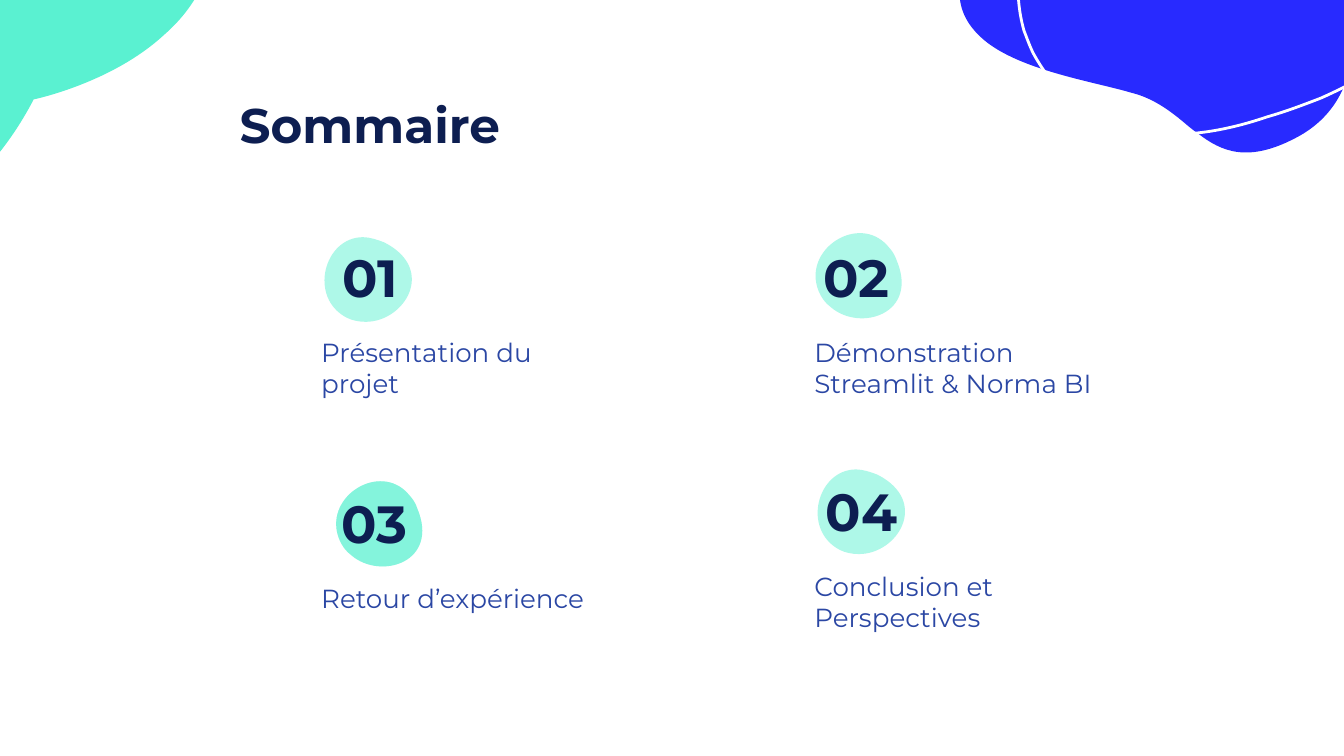
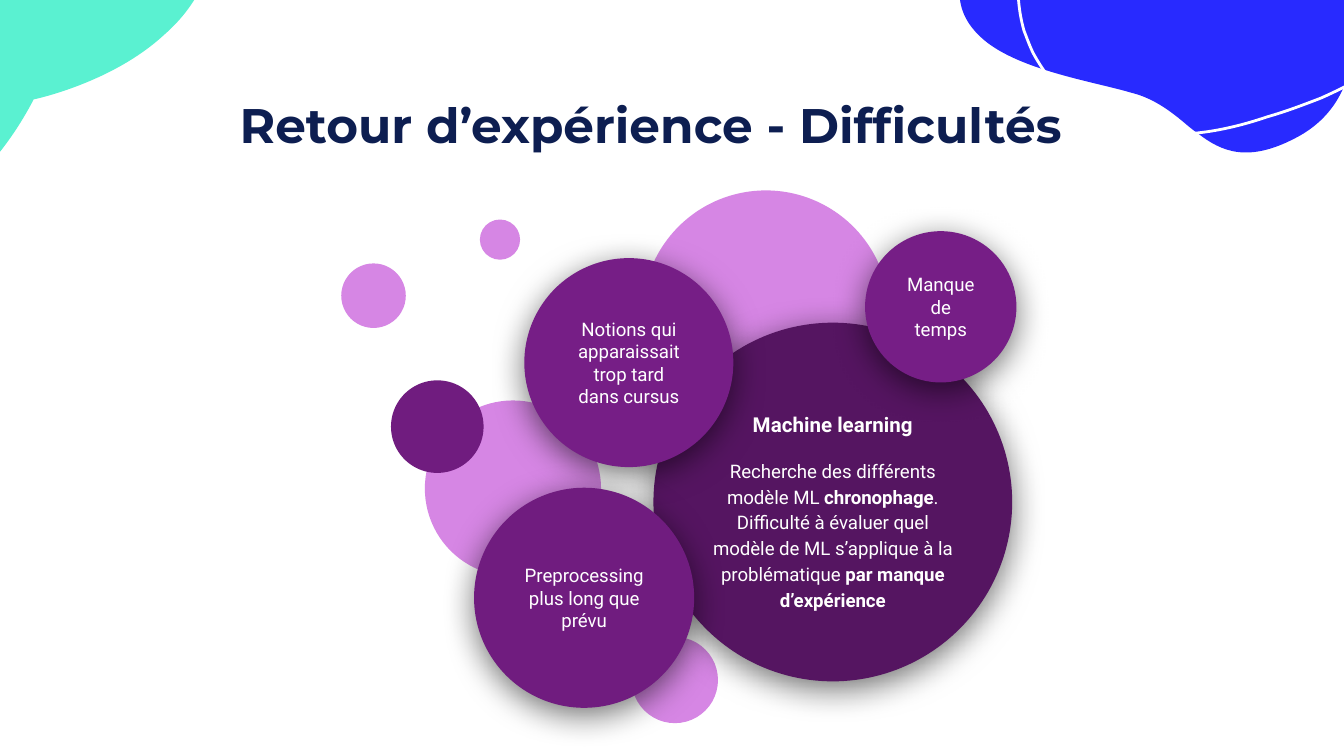
from dataclasses import dataclass
from math import cos, radians, sin

from pptx import Presentation
from pptx.dml.color import RGBColor
from pptx.enum.shapes import MSO_SHAPE as Shape
from pptx.enum.text import MSO_ANCHOR as Anchor, MSO_AUTO_SIZE as AutoSize, PP_ALIGN as Align
from pptx.oxml.xmlchemy import OxmlElement
from pptx.util import Cm, Pt

# Palette and fonts
NAVY, INDIGO, BLUE, MINT, WHITE = "0D1E51", "2B47A4", "282AFF", "5AF1D1", "FFFFFF"
LILAC, PURPLE, VIOLET, PLUM = "D686E4", "701C7F", "761E86", "551561"
HEAD_FONT, BUBBLE_FONT = "Montserrat", "Roboto"

GRID = Cm(0.0254)


@dataclass
class Outline:
    """A start point, then three points per Bézier curve, in grid units."""
    turn: float
    points: list[tuple[int, int]]


BLUE_BLOB = Outline(217.1, [
    (735, 32), (713, 15), (704, -9), (729, -47), (785, -135), (897, -106), (934, -84),
    (939, -81), (944, -78), (949, -74), (1013, -25), (1029, 66), (967, 101),
    (929, 122), (909, 113), (891, 99), (885, 95), (879, 89), (872, 84),
    (864, 78), (854, 72), (842, 69), (815, 61), (763, 53), (735, 32),
])
WHITE_LOOP = Outline(336.5, [
    (833, -209), (874, -227), (928, -219), (943, -170), (943, -170), (944, -170), (944, -169),
    (948, -157), (962, -151), (974, -156), (1019, -174), (1071, -156), (1098, -117),
    (1115, -91), (1120, -57), (1108, -29), (1100, -8), (1083, 9), (1065, 24),
    (1040, 44), (1012, 60), (983, 73), (970, 78), (957, 83), (943, 87),
    (902, 101), (856, 107), (817, 88), (796, 78), (780, 60), (769, 40),
    (766, 34), (764, 28), (762, 23), (754, -5), (757, -36), (769, -63),
    (773, -72), (779, -81), (780, -92), (782, -109), (774, -125), (778, -143),
    (782, -161), (791, -178), (805, -191), (813, -198), (822, -204), (833, -209),
])
MINT_BLOB = Outline(137.9, [
    (122, 26), (83, 62), (25, 74), (25, 74), (11, 101), (-6, 122), (-22, 137),
    (-71, 181), (-122, 174), (-150, 133), (-184, 81), (-180, -15), (-117, -72),
    (-114, -75), (-111, -77), (-108, -80), (40, -193), (175, -103), (156, -26),
    (150, -5), (138, 12), (122, 26),
])
# Number spots, relative to the top left of their label
FLAT_SPOT = Outline(0, [
    (41, -64), (12, -64), (0, -19), (29, -4), (33, -2), (38, -1), (43, -1),
    (72, -1), (96, -40), (57, -60), (52, -62), (46, -64), (41, -64),
])
ROUND_SPOT = Outline(41.2, [
    (62, -60), (40, -80), (1, -54), (13, -24), (15, -19), (18, -15), (22, -12),
    (44, 7), (88, -7), (71, -47), (69, -53), (65, -57), (62, -60),
])


@dataclass
class Run:
    text: str
    size: float
    bold: bool = False


@dataclass
class Para:
    runs: list[Run]
    before: float = 0
    after: float = 0
    spacing: float = 1.0


@dataclass
class Topic:
    number: str
    label: str
    left: float
    top: float
    spot: Outline
    number_dx: float
    number_width: float = 1.85
    spot_dx: float = 0
    spot_dy: float = 0
    spot_layers: int = 1


@dataclass
class Dot:
    left: float
    top: float
    size: float
    color: str = LILAC


@dataclass
class Bubble:
    dot: Dot
    width: float
    height: float
    paras: list[Para]
    text_dy: float = 0


def rgb(color: str) -> RGBColor:
    return RGBColor.from_string(color)


def paint(sp, fill: str | None, alpha: int = 100, line: str | None = None) -> None:
    """Set fill and line, and drop the theme shadow."""
    sp.shadow.inherit = False
    if fill:
        sp.fill.solid()
        sp.fill.fore_color.rgb = rgb(fill)
        if alpha < 100:
            node = OxmlElement("a:alpha")
            node.set("val", str(alpha * 1000))
            sp.element.spPr.find(".//{*}srgbClr").append(node)
    else:
        sp.fill.background()
    if line:
        sp.line.color.rgb = rgb(line)
        sp.line.width = Pt(1.5)
    else:
        sp.line.fill.background()


def add_shadow(sp) -> None:
    shadow = OxmlElement("a:outerShdw")
    for key, value in (("blurRad", Cm(0.63)), ("dist", Cm(0.14)), ("dir", 5400000),
                       ("algn", "t"), ("rotWithShape", 0)):
        shadow.set(key, str(value))
    color = OxmlElement("a:srgbClr")
    color.set("val", "000000")
    alpha = OxmlElement("a:alpha")
    alpha.set("val", "55000")
    color.append(alpha)
    shadow.append(color)
    sp.element.spPr.find("{*}effectLst").append(shadow)


def rotate(x: float, y: float, degrees: float) -> tuple[float, float]:
    a = radians(degrees)
    return x * cos(a) - y * sin(a), x * sin(a) + y * cos(a)


def add_outline(shapes, outline: Outline, dx: float = 0, dy: float = 0):
    """Draw a closed curved outline, moved by dx and dy centimetres."""
    start, *rest = [rotate(x * GRID, y * GRID, -outline.turn) for x, y in outline.points]
    builder = shapes.build_freeform(round(start[0]), round(start[1]))
    builder.add_line_segments(rest, close=True)
    sp = builder.convert_to_shape()

    # Every three straight segments become one curve
    outline_path = sp.element.spPr.find(".//{*}path")
    segments = outline_path.findall("{*}lnTo")
    for i in range(0, len(segments), 3):
        curve = OxmlElement("a:cubicBezTo")
        segments[i].addprevious(curve)
        for segment in segments[i:i + 3]:
            curve.append(segment[0])
            outline_path.remove(segment)

    # Turn the shape about its own centre
    x, y = rotate(sp.left + sp.width / 2, sp.top + sp.height / 2, outline.turn)
    sp.left = round(x - sp.width / 2) + Cm(dx)
    sp.top = round(y - sp.height / 2) + Cm(dy)
    sp.rotation = outline.turn
    return sp


def write(tf, paras: list[Para], font: str, color: str,
          align=Align.LEFT, anchor=Anchor.TOP) -> None:
    tf.word_wrap = True
    tf.auto_size = AutoSize.NONE
    tf.vertical_anchor = anchor
    tf.margin_left = tf.margin_right = tf.margin_top = tf.margin_bottom = Cm(0.25)
    for i, para in enumerate(paras):
        p = tf.add_paragraph() if i else tf.paragraphs[0]
        p.alignment = align
        p.line_spacing = para.spacing
        p.space_before, p.space_after = Pt(para.before), Pt(para.after)
        for run in para.runs:
            r = p.add_run()
            r.text = run.text
            r.font.name, r.font.size, r.font.bold = font, Pt(run.size), run.bold
            r.font.color.rgb = rgb(color)


def add_text(shapes, left: float, top: float, width: float, height: float,
             paras: list[Para], font: str, color: str, **layout) -> None:
    box = shapes.add_textbox(Cm(left), Cm(top), Cm(width), Cm(height))
    write(box.text_frame, paras, font, color, **layout)


def decorate_layout(layout, s) -> None:
    """Draw the corner blobs and move them to the layout."""
    corners = ((BLUE_BLOB, BLUE, None), (WHITE_LOOP, None, WHITE), (MINT_BLOB, MINT, None))
    for i, (outline, fill, line) in enumerate(corners):
        sp = add_outline(s.shapes, outline)
        paint(sp, fill, line=line)
        sp.element.nvSpPr.cNvPr.set("id", str(100 + i))
        layout.shapes.element.append(sp.element)


def set_title(s, text: str, width: float) -> None:
    title = s.shapes.title
    title.left, title.top, title.width, title.height = Cm(4.28), Cm(1.54), Cm(width), Cm(4.14)
    write(title.text_frame, [Para([Run(text, 26, True)])], HEAD_FONT, NAVY)


def add_topic(s, topic: Topic) -> None:
    for _ in range(topic.spot_layers):
        sp = add_outline(s.shapes, topic.spot, topic.left + topic.spot_dx, topic.top + topic.spot_dy)
        paint(sp, MINT, alpha=49)
    add_text(s.shapes, topic.left + topic.number_dx, topic.top - 1.72, topic.number_width, 1.24,
             [Para([Run(topic.number, 28, True)])], HEAD_FONT, NAVY)
    add_text(s.shapes, topic.left, topic.top, 5.79, 1.6,
             [Para([Run(topic.label, 14)], after=16)], HEAD_FONT, INDIGO)


def add_dot(shapes, dot: Dot):
    sp = shapes.add_shape(Shape.OVAL, Cm(dot.left), Cm(dot.top), Cm(dot.size), Cm(dot.size))
    paint(sp, dot.color)
    return sp


def add_bubble(s, bubble: Bubble) -> None:
    """A shadowed circle with its text centred on it."""
    shapes = s.shapes.add_group_shape().shapes
    dot = bubble.dot
    add_shadow(add_dot(shapes, dot))
    add_text(shapes, dot.left + (dot.size - bubble.width) / 2,
             dot.top + (dot.size - bubble.height) / 2 + bubble.text_dy,
             bubble.width, bubble.height, bubble.paras, BUBBLE_FONT, WHITE,
             align=Align.CENTER, anchor=Anchor.MIDDLE)


LEFT_COL, RIGHT_COL, FIRST_ROW = 5.82, 15.14, 6.11
TOPICS = [
    Topic("01", "Présentation du projet", LEFT_COL, FIRST_ROW, FLAT_SPOT, 0.4),
    Topic("02", "Démonstration Streamlit & Norma BI", RIGHT_COL, FIRST_ROW, ROUND_SPOT, 0.18),
    Topic("03", "Retour d’expérience", LEFT_COL, 10.75, ROUND_SPOT, 0.38, 3.12,
          spot_dx=0.26, spot_dy=0.05, spot_layers=2),
    Topic("04", "Conclusion et Perspectives", RIGHT_COL, 10.53, FLAT_SPOT, 0.22, 2.44,
          spot_dy=-0.03),
]

DOTS = [
    Dot(11.94, 12.04, 1.63), Dot(6.45, 4.98, 1.22), Dot(8.03, 7.57, 3.33),
    Dot(12.14, 3.6, 4.67), Dot(7.39, 7.19, 1.75, PURPLE), Dot(9.07, 4.15, 0.76),
]
LEARNING = [
    Para([Run("Machine learning", 11, True)], spacing=1.15),
    Para([Run("Recherche des différents modèle ML ", 10),
          Run("chronophage", 10, True),
          Run(". Difficulté à évaluer quel modèle de ML s’applique à la problématique ", 10),
          Run("par manque d’expérience", 10, True)], before=10.7, after=16, spacing=1.15),
]
BUBBLES = [
    Bubble(Dot(12.35, 6.1, 6.78, PLUM), 5.18, 3.23, LEARNING, 0.14),
    Bubble(Dot(9.91, 4.88, 3.95, VIOLET), 2.64, 2.62,
           [Para([Run("Notions qui apparaissait trop tard dans cursus", 10)])]),
    Bubble(Dot(8.96, 9.22, 4.16, PURPLE), 2.97, 2.62,
           [Para([Run("Preprocessing plus long que prévu", 10)])]),
    Bubble(Dot(16.35, 4.37, 2.86, VIOLET), 1.9, 1.91,
           [Para([Run("Manque de temps", 10)])]),
]


def main() -> None:
    prs = Presentation()
    prs.slide_width, prs.slide_height = Cm(25.4), Cm(14.29)
    layout = prs.slide_layouts[5]

    # Summary
    s = prs.slides.add_slide(layout)
    decorate_layout(layout, s)
    set_title(s, "Sommaire", 14.3)
    for topic in TOPICS:
        add_topic(s, topic)

    # Difficulties
    s = prs.slides.add_slide(layout)
    set_title(s, "Retour d’expérience - Difficultés", 18.64)
    dots = s.shapes.add_group_shape().shapes
    for dot in DOTS:
        add_dot(dots, dot)
    for bubble in BUBBLES:
        add_bubble(s, bubble)

    prs.save("out.pptx")


if __name__ == "__main__":
    main()
